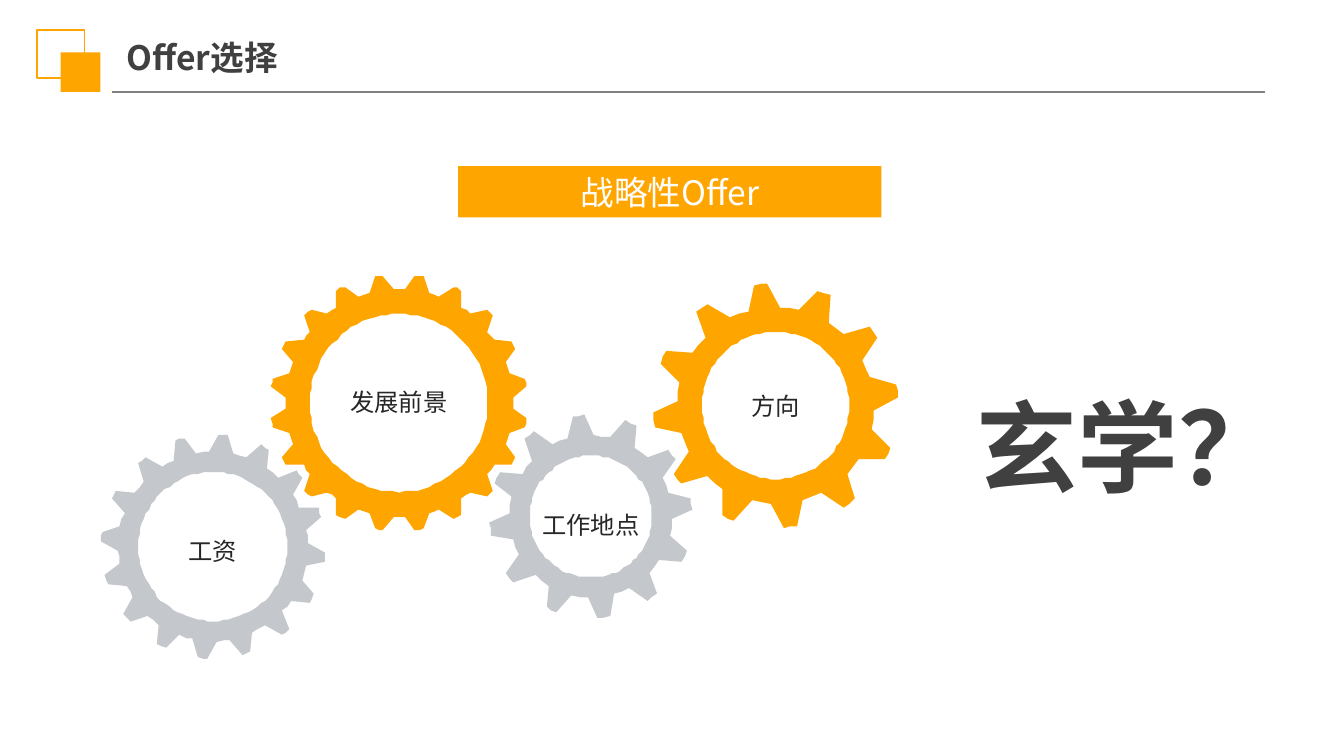
from math import cos, radians, sin

from lxml.etree import SubElement
from pptx import Presentation
from pptx.dml.color import RGBColor
from pptx.enum.shapes import MSO_CONNECTOR as CONN, MSO_SHAPE as SHAPE
from pptx.enum.text import MSO_ANCHOR as ANCHOR, MSO_AUTO_SIZE as AUTO, PP_ALIGN as ALIGN
from pptx.oxml.ns import qn
from pptx.util import Pt

ORANGE = RGBColor(0xFF, 0xA5, 0x00)
SILVER = RGBColor(0xC4, 0xC7, 0xCB)
GRAY = RGBColor(0x80, 0x80, 0x80)
DARK = RGBColor(0x40, 0x40, 0x40)
INK = RGBColor(0x26, 0x26, 0x26)
WHITE = RGBColor(0xFF, 0xFF, 0xFF)
FONT = "Noto Sans CJK SC"

TITLE = dict(size=Pt(18), bold=True)
BANNER = dict(size=Pt(18), bold=False)
LABEL = dict(size=Pt(13), bold=False)
VERDICT = dict(size=Pt(54), bold=True)


def write(sp, text, fmt, color, align=ALIGN.CENTER, anchor=ANCHOR.MIDDLE, inset=(5, 3)):
    """Put one formatted line of text into a shape."""
    tf = sp.text_frame
    dx, dy = map(Pt, inset)
    frame = dict(word_wrap=True, auto_size=AUTO.NONE, vertical_anchor=anchor,
                 margin_left=dx, margin_right=dx, margin_top=dy, margin_bottom=dy)
    for name, value in frame.items():
        setattr(tf, name, value)
    p = tf.paragraphs[0]
    p.alignment = align
    r = p.add_run()
    r.text = text
    for name, value in dict(fmt, name=FONT).items():
        setattr(r.font, name, value)
    r.font.color.rgb = color
    SubElement(r.font._element, qn("a:ea"), typeface=FONT)
    return p


def paint(sp, fill=None, line=None):
    sp.shadow.inherit = False
    if fill is None:
        sp.fill.background()
    else:
        sp.fill.solid()
        sp.fill.fore_color.rgb = fill
    if line is None:
        sp.line.fill.background()
    else:
        sp.line.color.rgb = line
        sp.line.width = Pt(1)


def add_rect(slide, x, y, w, h, **colors):
    sp = slide.shapes.add_shape(SHAPE.RECTANGLE, Pt(x), Pt(y), Pt(w), Pt(h))
    paint(sp, **colors)
    return sp


def add_label(slide, x, y, w, h, *args, **kwargs):
    box = slide.shapes.add_textbox(Pt(x), Pt(y), Pt(w), Pt(h))
    return write(box, *args, **kwargs)


def add_header(slide, x, y, w, text):
    """Two squares, the title and the rule below them."""
    rule = slide.shapes.add_connector(CONN.STRAIGHT, Pt(x + 39.9), Pt(y + 33), Pt(x + w), Pt(y + 33))
    rule.line.color.rgb = GRAY
    rule.line.width = Pt(0.75)
    SubElement(rule._element.spPr, qn("a:effectLst"))
    add_rect(slide, x, y, 25.4, 25.4, line=ORANGE)
    add_rect(slide, x + 12.6, y + 11.7, 21.3, 21.3, fill=ORANGE)
    title = slide.shapes.title
    box = dict(left=x + 48, top=y - 0.5, width=168, height=30)
    for name, value in box.items():
        setattr(title, name, Pt(value))
    write(title, text, TITLE, DARK, align=ALIGN.LEFT, inset=(0, 3.6))


def ring_point(cx, cy, radius, angle):
    """Point on a circle; angle in degrees clockwise from the top."""
    return (round(cx + radius * sin(radians(angle)), 2),
            round(cy - radius * cos(radians(angle)), 2))


def add_gear(slide, x, y, size, root, hole, teeth, turn, tip, base, color):
    """Gear in a square box; tip and base are half tooth widths in degrees."""
    outer = size / 2
    cx, cy = x + outer, y + outer
    pitch = 360 / teeth
    profile = [(root, -base), (outer, -tip), (outer, 0), (outer, tip),
               (root, base), (root, pitch / 2)]
    rim = [ring_point(cx, cy, radius, turn + n * pitch + angle)
           for n in range(teeth) for radius, angle in profile]
    bore = [ring_point(cx, cy, hole, -angle) for angle in range(0, 360, 4)]
    builder = slide.shapes.build_freeform(*rim[0], scale=Pt(1))
    builder.add_line_segments(rim[1:], close=True)
    builder.move_to(*bore[0])
    builder.add_line_segments(bore[1:], close=True)
    paint(builder.convert_to_shape(), fill=color)


def add_factor(slide, x, y, size, text, label_dy, **gear):
    """A gear with its label, label_dy below the centre."""
    add_gear(slide, x, y, size, **gear)
    add_label(slide, x + size / 2 - 36, y + size / 2 + label_dy - 10.5, 72, 21, text, LABEL, INK)


def add_banner(slide, x, y, w, h, text):
    write(add_rect(slide, x, y, w, h, fill=ORANGE), text, BANNER, WHITE)


def add_verdict(slide, x, y, w, h, text):
    p = add_label(slide, x, y, w, h, text, VERDICT, DARK, align=ALIGN.LEFT, anchor=ANCHOR.TOP)
    p.line_spacing = 1.5


prs = Presentation()
prs.slide_width, prs.slide_height = Pt(720), Pt(405)
slide = prs.slides.add_slide(prs.slide_layouts[5])

add_header(slide, 19.9, 16.3, 657.8, "Offer选择")

# Interlocking gears: box, label, then tooth geometry
FACTORS = [
    (144.9, 147, 137.7, "发展前景", -0.7, dict(
        root=61.2, hole=47.7, teeth=20, turn=9, tip=1.9, base=6.2, color=ORANGE)),
    (262.2, 222.3, 108.7, "工作地点", 4.6, dict(
        root=43.5, hole=32.7, teeth=12, turn=-7.2, tip=3.4, base=9.2, color=SILVER)),
    (54, 232.7, 120.2, "工资", 2.3, dict(
        root=50.8, hole=39.9, teeth=16, turn=5.1, tip=2.4, base=7.05, color=SILVER)),
    (350, 151.6, 131.2, "方向", 0, dict(
        root=52.7, hole=39.5, teeth=12, turn=-6.9, tip=3.2, base=9.4, color=ORANGE)),
]
for x, y, size, text, label_dy, gear in FACTORS:
    add_factor(slide, x, y, size, text, label_dy, **gear)

add_verdict(slide, 518.4, 170.6, 176, 103.7, "玄学？")
add_banner(slide, 245.4, 89, 226.8, 27.5, "战略性Offer")

prs.save("out.pptx")
